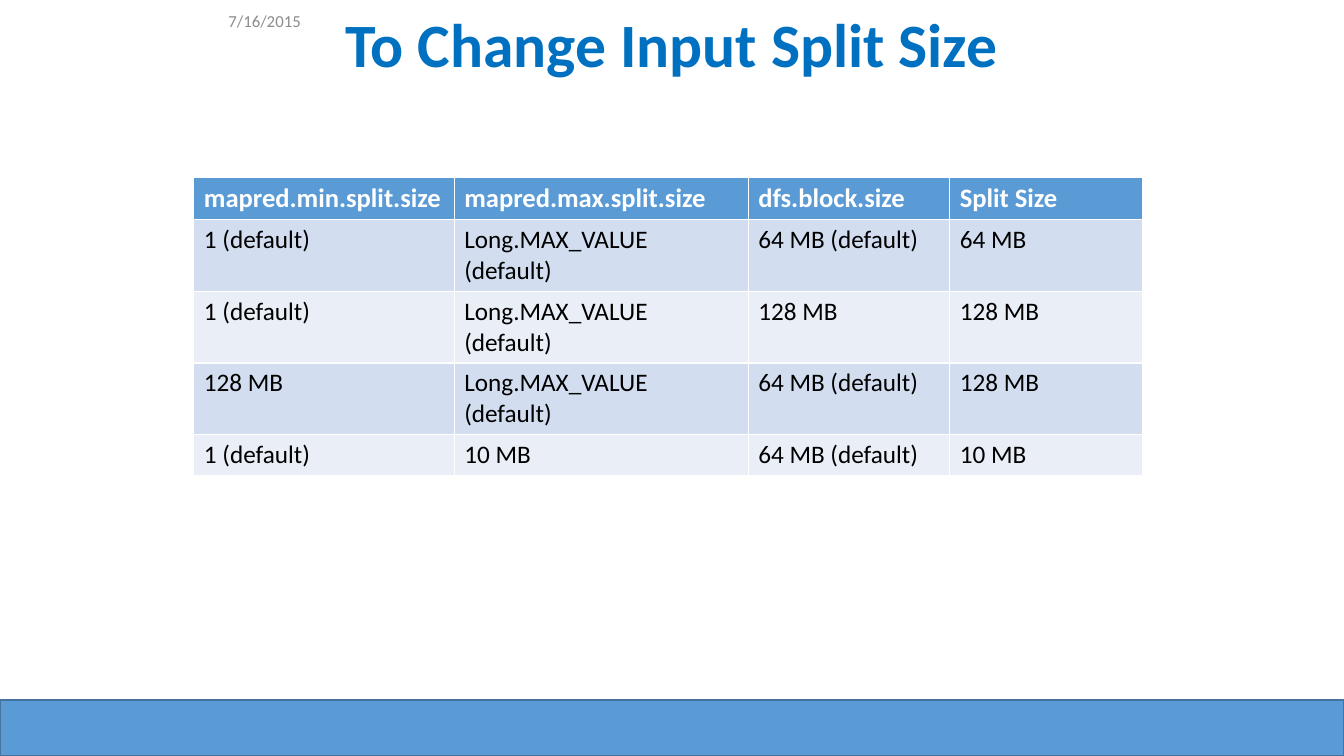
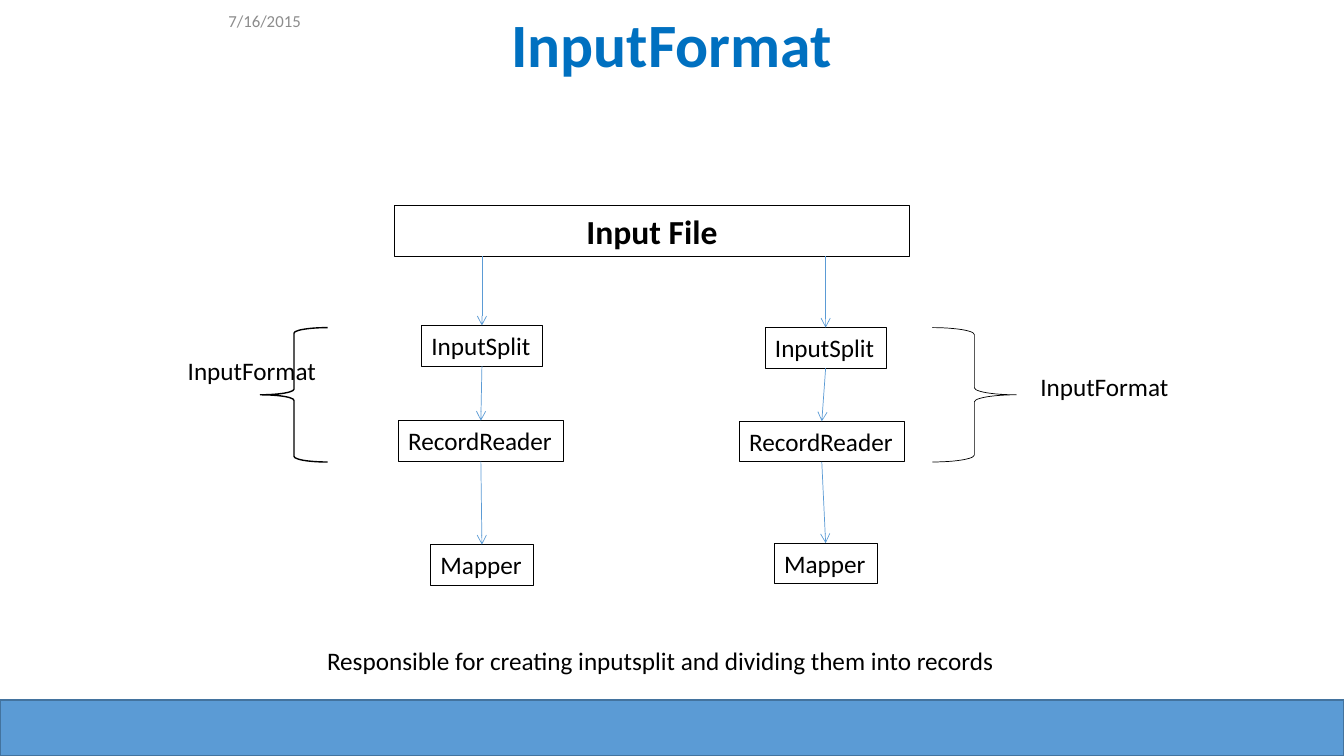
"""Build two slides on input splits: a settings table and the InputFormat flow."""
from itertools import pairwise

from lxml.etree import SubElement
from pptx import Presentation
from pptx.dml.color import RGBColor
from pptx.enum.shapes import MSO_CONNECTOR, MSO_SHAPE as SHAPE
from pptx.enum.text import MSO_ANCHOR as ANCHOR, MSO_AUTO_SIZE as FIT, PP_ALIGN as ALIGN
from pptx.oxml.ns import qn
from pptx.util import Pt

FONT = "Calibri"
BLUE, BAND_EDGE, TITLE_BLUE = "5B9BD5", "43739E", "0070C0"
BLACK, WHITE, GRAY = "000000", "FFFFFF", "8C8C8C"
STRIPES = ["D2DEEF", "EAEFF7"]
TITLES = ["To Change Input Split Size", "InputFormat"]


def paint(color_format, color):
    color_format.rgb = RGBColor.from_string(color)


def add_box(slide, box, text="", size=18, color=BLACK, bold=False, align=ALIGN.LEFT,
            anchor=ANCHOR.TOP, wrap=False, kind=SHAPE.RECTANGLE, fill=None, edge=None, weight=0.75):
    shape = slide.shapes.add_shape(kind, *map(Pt, box))
    shape.shadow.inherit = False
    if fill:
        shape.fill.solid()
        paint(shape.fill.fore_color, fill)
    else:
        shape.fill.background()
    if edge:
        paint(shape.line.color, edge)
        shape.line.width = Pt(weight)
    else:
        shape.line.fill.background()
    if text:
        frame = shape.text_frame
        frame.word_wrap = wrap
        frame.auto_size = FIT.NONE if wrap else FIT.SHAPE_TO_FIT_TEXT
        frame.vertical_anchor = anchor
        line = frame.paragraphs[0]
        line.text, line.alignment = text, align
        line.font.name, line.font.size, line.font.bold = FONT, Pt(size), bold
        paint(line.font.color, color)
    return shape


prs = Presentation()
prs.slide_width, prs.slide_height = Pt(960), Pt(540)
slides = []
for title in TITLES:
    slide = prs.slides.add_slide(prs.slide_layouts[6])
    add_box(slide, (0, 500, 960, 40), fill=BLUE, edge=BAND_EDGE, weight=1)
    heading = add_box(slide, (8.5, 6, 943, 56), title, 44, TITLE_BLUE, True,
                      ALIGN.CENTER, ANCHOR.MIDDLE, True)
    heading.text_frame.paragraphs[0].line_spacing = 0.9
    add_box(slide, (156, 1.5, 228, 26), "7/16/2015", 12, GRAY, anchor=ANCHOR.MIDDLE, wrap=True)
    slides.append(slide)
settings_slide, flow_slide = slides

LONG_MAX = "Long.MAX_VALUE\n(default)"
settings = [
    ["mapred.min.split.size", "mapred.max.split.size", "dfs.block.size", "Split Size"],
    ["1 (default)", LONG_MAX, "64 MB (default)", "64 MB"],
    ["1 (default)", LONG_MAX, "128 MB", "128 MB"],
    ["128 MB", LONG_MAX, "64 MB (default)", "128 MB"],
    ["1 (default)", "10 MB", "64 MB (default)", "10 MB"],
]
column_widths = [186, 210, 144, 138]
table = settings_slide.shapes.add_table(
    len(settings), len(column_widths), Pt(138.5), Pt(126.5), Pt(sum(column_widths)), Pt(211)).table
for column, width in zip(table.columns, column_widths):
    column.width = Pt(width)
for row_index, values in enumerate(settings):
    is_header = row_index == 0
    table.rows[row_index].height = Pt(51.25 if LONG_MAX in values else 29.5)
    for cell, value in zip(table.rows[row_index].cells, values):
        cell.fill.solid()
        paint(cell.fill.fore_color, BLUE if is_header else STRIPES[(row_index - 1) % 2])
        cell.text = value
        for line in cell.text_frame.paragraphs:
            line.font.name, line.font.bold = FONT, is_header
            line.font.size = Pt(19 if is_header else 18)
            paint(line.font.color, WHITE if is_header else BLACK)

add_box(flow_slide, (282, 147, 367.5, 36), "Input File", 24, bold=True,
        align=ALIGN.CENTER, anchor=ANCHOR.MIDDLE, wrap=True, edge=BLACK)
stages = [("InputSplit", 86.5), ("RecordReader", 118), ("Mapper", 73.5)]
chains = [
    [(301, 232.5), (284.5, 300.5), (307.5, 389)],
    [(546.5, 234), (528, 301), (553, 388)],
]
for chain in chains:
    boxes = [add_box(flow_slide, (left, top, width, 29), name, edge=BLACK)
             for (name, width), (left, top) in zip(stages, chain)]
    for source, target in pairwise([None, *boxes]):
        center = target.left + target.width // 2
        arrow = flow_slide.shapes.add_connector(
            MSO_CONNECTOR.STRAIGHT, center, Pt(183), center, target.top)
        if source:
            arrow.begin_connect(source, 2)
        arrow.end_connect(target, 0)
        paint(arrow.line.color, BLUE)
        arrow.line.width = Pt(0.5)
        SubElement(arrow.line._get_or_add_ln(), qn("a:tailEnd"), type="arrow")
        SubElement(arrow._element.spPr, qn("a:effectLst"))

add_box(flow_slide, (186, 234, 48, 96), kind=SHAPE.LEFT_BRACE, edge=BLACK, weight=1)
add_box(flow_slide, (666, 234, 60, 96), kind=SHAPE.RIGHT_BRACE, edge=BLACK, weight=0.5)
for left, top in [(736, 261.5), (127, 250.5)]:
    add_box(flow_slide, (left, top, 107, 29), "InputFormat")
add_box(flow_slide, (226.5, 457.5, 497, 29),
        "Responsible for creating inputsplit and dividing them into records")

prs.save("out.pptx")
